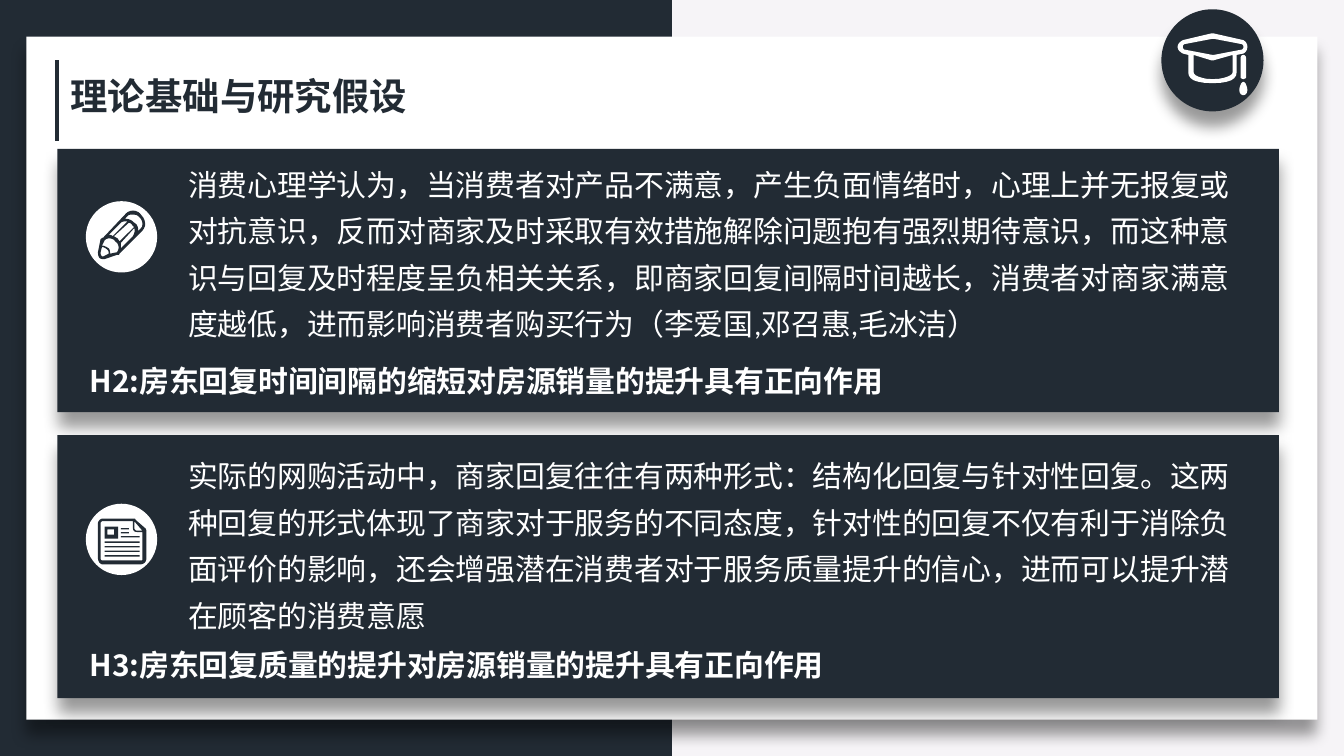
from dataclasses import dataclass

import lxml.etree
import pptx
import pptx.dml.color
import pptx.enum.shapes
import pptx.enum.text
import pptx.oxml.ns
import pptx.util

Pt = pptx.util.Pt
qn = pptx.oxml.ns.qn
SHAPE = pptx.enum.shapes.MSO_SHAPE


@dataclass(frozen=True)
class Theme:
    """Colours, fonts and type sizes of the deck."""
    dark: str = "222B34"
    light: str = "FFFFFF"
    back: str = "F6F4F7"
    black: str = "000000"
    heading: str = "Noto Sans CJK SC"
    body: str = "Calibri"
    title_size: int = 20
    text_size: int = 16


THEME = Theme()

CAP = [
    [(64, 28), (64, 26, 63, 24, 61, 23), (39, 18), (37, 18), (16, 23), (14, 24, 12, 26, 12, 28),
     (12, 30, 14, 32, 16, 33), (20, 34), (20, 47), (20, 52, 25, 55, 38, 55),
     (51, 55, 56, 52, 56, 47), (56, 34), (61, 33), (63, 32, 64, 30, 64, 28)],
    [(39, 34), (38, 34), (17, 30), (16, 29, 16, 29, 16, 28), (16, 27, 16, 27, 17, 26), (38, 22),
     (39, 22), (60, 26), (61, 27, 61, 27, 61, 28), (61, 29, 61, 29, 60, 30)],
    [(53, 47), (53, 49, 48, 52, 38, 52), (29, 52, 24, 49, 24, 47), (24, 34), (37, 38), (39, 38),
     (53, 34)],
    [(59, 36), (59, 51), (59, 51, 60, 52, 61, 52), (62, 52, 63, 51, 63, 51), (63, 36),
     (63, 35, 62, 34, 61, 34), (60, 34, 59, 35, 59, 36)],
    [(61, 54), (59, 54, 58, 59, 58, 60), (58, 62, 59, 64, 61, 64), (63, 64, 64, 62, 64, 60),
     (64, 59, 63, 54, 61, 54)],
]

PENCIL = [
    [(41, 10), (40, 8, 37, 7, 35, 7), (33, 7, 31, 8, 30, 9), (13, 27), (12, 27, 12, 28, 11, 28),
     (9, 38), (9, 41, 10, 43, 12, 43), (14, 43), (23, 40), (24, 40, 25, 40, 25, 39), (42, 22),
     (45, 19, 45, 14, 41, 10)],
    [(41, 20), (39, 22), (39, 19, 38, 17, 36, 16), (34, 14, 32, 13, 29, 13), (31, 11),
     (32, 10, 33, 10, 35, 10), (37, 10, 38, 10, 40, 12), (41, 13, 42, 15, 42, 16),
     (42, 18, 42, 19, 41, 20)],
    [(18, 39), (18, 38, 18, 36, 17, 35), (15, 34, 14, 33, 12, 33), (14, 29),
     (16, 27, 20, 27, 22, 30), (25, 32, 25, 36, 23, 38)],
    [(13, 41), (12, 41), (12, 41, 11, 40, 11, 39), (11, 38), (12, 34), (13, 34, 15, 35, 16, 36),
     (17, 37, 17, 38, 17, 39)],
    [(20, 26), (19, 25, 18, 25, 17, 25), (26, 16), (27, 15, 29, 15, 31, 15)],
    [(25, 30), (25, 29, 24, 29, 24, 28), (23, 27, 22, 27, 21, 26), (32, 16),
     (33, 16, 34, 17, 34, 17), (35, 18, 35, 19, 36, 19)],
    [(26, 34), (26, 31), (36, 20), (37, 22, 36, 24, 35, 26), (26, 35)],
]


def rect(x, y, w, h):
    """Return a rectangular contour."""
    return [(x, y), (x + w, y), (x + w, y + h), (x, y + h)]


PAPER = [
    [(44, 18), (37, 12), (37, 11, 36, 11, 36, 11), (12, 11), (11, 11, 9, 13, 9, 14), (9, 41),
     (9, 43, 11, 45, 12, 45), (41, 45), (43, 45, 45, 43, 45, 41), (45, 20),
     (45, 19, 44, 18, 44, 18)],
    [(39, 20), (38, 20), (37, 20, 36, 19, 36, 18), (36, 13), (42, 20)],
    [(42, 41), (42, 42, 42, 42, 41, 42), (12, 42), (12, 42, 11, 42, 11, 41), (11, 14),
     (11, 14, 12, 13, 12, 13), (35, 13), (35, 18), (35, 20, 36, 21, 38, 21), (42, 21)],
    rect(14, 17, 10, 9), rect(16, 19, 5, 4),
    rect(26, 18, 6, 1), rect(26, 21, 6, 1), rect(26, 24, 14, 1),
    *[rect(14, 28 + 3.4 * i, 26, 1) for i in range(4)],
]


def rgb(value):
    """Return the colour for a hex string."""
    return pptx.dml.color.RGBColor.from_string(value)


def paint(sp, color):
    """Give a shape a flat fill without line or shadow."""
    sp.shadow.inherit = False
    sp.fill.solid()
    sp.fill.fore_color.rgb = rgb(color)
    sp.line.fill.background()


def add_block(slide, kind, box, color, raised=False):
    """Add a flat preset shape, optionally casting a soft shadow below."""
    sp = slide.shapes.add_shape(kind, *map(Pt, box))
    paint(sp, color)
    if raised:
        effects = sp._element.spPr.find(qn("a:effectLst"))
        shadow = lxml.etree.SubElement(
            effects, qn("a:outerShdw"), blurRad=str(Pt(8)), dist=str(Pt(8)),
            dir="5400000", algn="t", rotWithShape="0")
        tint = lxml.etree.SubElement(shadow, qn("a:srgbClr"), val=THEME.black)
        lxml.etree.SubElement(tint, qn("a:alpha"), val="40000")


def trace(contour, steps=6):
    """Turn a contour of points and cubic curves into plain points."""
    points = []
    for seg in contour:
        if len(seg) == 2:
            points.append(seg)
            continue
        knots = [points[-1], seg[:2], seg[2:4], seg[4:]]
        for i in range(1, steps + 1):
            t = i / steps
            weights = ((1 - t) ** 3, 3 * t * (1 - t) ** 2, 3 * t * t * (1 - t), t ** 3)
            points.append(tuple(sum(w * k[axis] for w, k in zip(weights, knots)) for axis in (0, 1)))
    return [(round(x * 10), round(y * 10)) for x, y in points]


def add_badge(slide, box, cells, icon, color, ink, raised=False):
    """Add a round badge with an icon drawn on a grid of cells."""
    x, y, w, h = box
    add_block(slide, SHAPE.OVAL, box, color, raised)
    first, *others = map(trace, icon)
    builder = slide.shapes.build_freeform(*first[0], scale=Pt(w) / cells / 10)
    builder.add_line_segments(first[1:])
    for points in others:
        builder.move_to(*points[0])
        builder.add_line_segments(points[1:])
    paint(builder.convert_to_shape(Pt(x), Pt(y)), ink)


def add_text(slide, box, text, size, color, font, bold=False, wrap=False, spacing=None):
    """Add a one-paragraph text box."""
    tf = slide.shapes.add_textbox(*map(Pt, box)).text_frame
    tf.word_wrap = wrap
    tf.auto_size = pptx.enum.text.MSO_AUTO_SIZE.SHAPE_TO_FIT_TEXT
    p = tf.paragraphs[0]
    p.text = text
    p.line_spacing = spacing
    r = p.runs[0]
    r.font.size, r.font.bold, r.font.name = Pt(size), bold, font
    r.font.color.rgb = rgb(color)
    lxml.etree.SubElement(r._r.get_or_add_rPr(), qn("a:ea"), typeface=font)


def add_frame(slide, box):
    """Draw the two-tone backdrop, the white sheet and the cap badge."""
    x, y, w, h = box
    slide.background.fill.solid()
    slide.background.fill.fore_color.rgb = rgb(THEME.back)
    add_block(slide, SHAPE.RECTANGLE, (x, y, w / 2, h), THEME.dark)
    add_block(slide, SHAPE.RECTANGLE, (x + 14.2, y + 19.6, 691.6, 366), THEME.light, True)
    add_badge(slide, (x + 622.2, y + 5, 54.7, 54.7), 76, CAP, THEME.dark, THEME.light, True)


def add_title(slide, box, text):
    """Add the title with its upright rule on the left."""
    x, y, w, h = box
    rule = slide.shapes.add_connector(
        pptx.enum.shapes.MSO_CONNECTOR.STRAIGHT, Pt(x), Pt(y), Pt(x), Pt(y + h))
    rule.line.color.rgb = rgb(THEME.dark)
    rule.line.width = Pt(2.25)
    lxml.etree.SubElement(rule._element.spPr, qn("a:effectLst"))
    add_text(slide, (x, y + 3.6, w, 31.7), text, THEME.title_size, THEME.dark, THEME.heading, True)


def add_panel(slide, box, icon, badge_top, body_top, claim_top, body, claim):
    """Add a dark panel with a badge, an argument and its hypothesis."""
    x, y, w, h = box
    add_block(slide, SHAPE.RECTANGLE, box, THEME.dark, True)
    add_badge(slide, (x + 15.3, y + badge_top, 38.2, 38.2), 53, icon, THEME.light, THEME.dark)
    add_text(slide, (x + 63, y + body_top, 573, 105.8), body, THEME.text_size, THEME.light,
             THEME.body, wrap=True, spacing=1.3)
    add_text(slide, (x + 10.2, y + claim_top, 446, 26.6), claim, THEME.text_size, THEME.light,
             THEME.heading, True)


def main():
    """Build the slide and save it."""
    prs = pptx.Presentation()
    prs.slide_width, prs.slide_height = Pt(720), Pt(405)
    slide = prs.slides.add_slide(prs.slide_layouts[6])
    add_frame(slide, (0, 0, 720, 405))
    add_title(slide, (30.7, 32.2, 196.6, 43.2), "理论基础与研究假设")
    add_panel(slide, (30.7, 79.8, 654.5, 141), PENCIL, 28, 0, 111,
              "消费心理学认为，当消费者对产品不满意，产生负面情绪时，心理上并无报复或对抗意识，反而对商家及时采取有效措施解除问题抱有强烈期待意识，而这种意识与回复及时程度呈负相关关系，即商家回复间隔时间越长，消费者对商家满意度越低，进而影响消费者购买行为（李爱国,邓召惠,毛冰洁）",
              "H2:房东回复时间间隔的缩短对房源销量的提升具有正向作用")
    add_panel(slide, (30.7, 233.1, 654.5, 141), PAPER, 36.8, 3, 109.6,
              "实际的网购活动中，商家回复往往有两种形式：结构化回复与针对性回复。这两种回复的形式体现了商家对于服务的不同态度，针对性的回复不仅有利于消除负面评价的影响，还会增强潜在消费者对于服务质量提升的信心，进而可以提升潜在顾客的消费意愿",
              "H3:房东回复质量的提升对房源销量的提升具有正向作用")


    prs.save("out.pptx")


if __name__ == "__main__":
    main()
